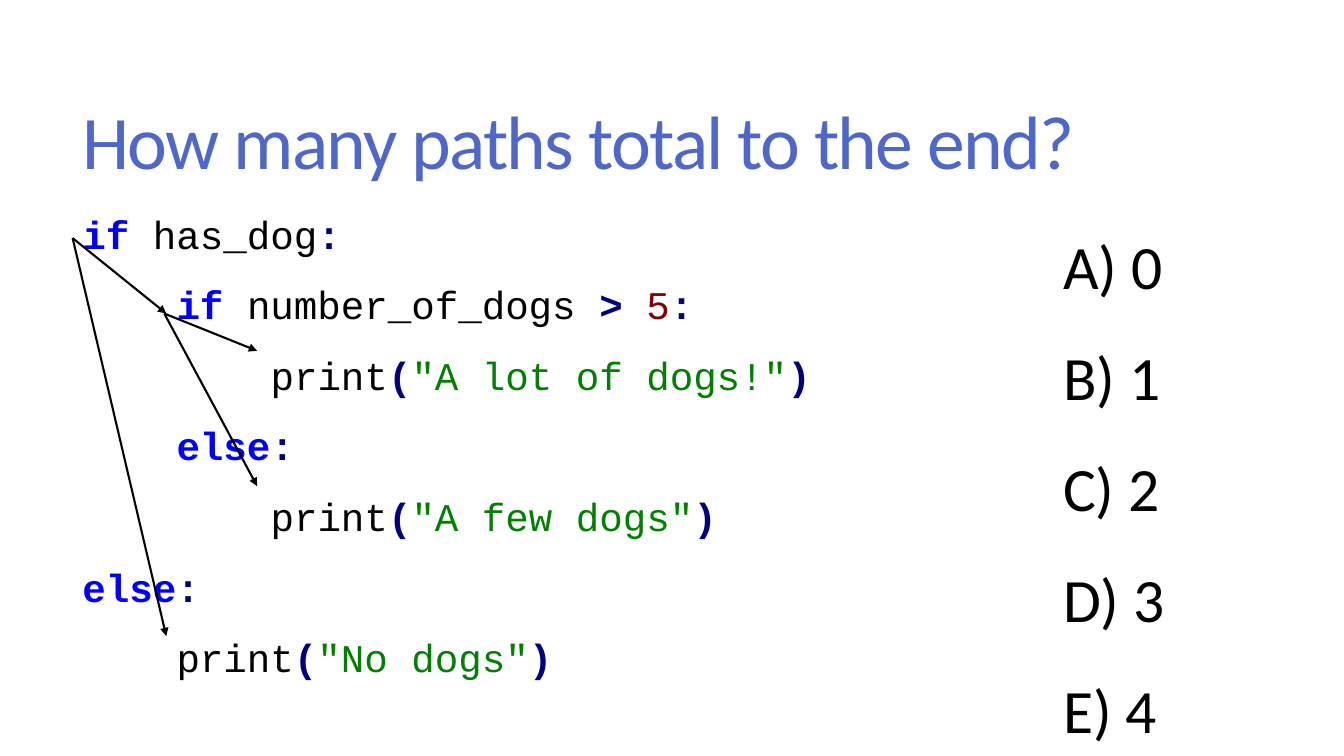
from lxml.etree import SubElement
from pptx import Presentation
from pptx.dml.color import RGBColor
from pptx.enum.shapes import MSO_CONNECTOR
from pptx.enum.text import MSO_ANCHOR, MSO_AUTO_SIZE
from pptx.oxml.ns import qn
from pptx.util import Cm, Pt

BLACK = RGBColor(0x00, 0x00, 0x00)
TITLE_BLUE = RGBColor(0x4E, 0x67, 0xC8)
KEYWORD_BLUE = RGBColor(0x00, 0x00, 0xFF)
OPERATOR_NAVY = RGBColor(0x00, 0x00, 0x80)
NUMBER_MAROON = RGBColor(0x80, 0x00, 0x00)
STRING_GREEN = RGBColor(0x00, 0x80, 0x00)

KEYWORD = (KEYWORD_BLUE, True)
PLAIN = (BLACK, False)
OPERATOR = (OPERATOR_NAVY, True)
NUMBER = (NUMBER_MAROON, False)
STRING = (STRING_GREEN, False)
CODE_INDENT = Cm(2.37)


def print_call(message):
    """Return the coloured tokens of a print call."""
    return [("print", PLAIN), ("(", OPERATOR), (f'"{message}"', STRING), (")", OPERATOR)]


ELSE = [("else", KEYWORD), (":", OPERATOR)]
CODE = [
    (0, [("if ", KEYWORD), ("has_dog", PLAIN), (":", OPERATOR)]),
    (1, [("if ", KEYWORD), ("number_of_dogs ", PLAIN), ("> ", OPERATOR),
         ("5", NUMBER), (":", OPERATOR)]),
    (2, print_call("A lot of dogs!")),
    (1, ELSE),
    (2, print_call("A few dogs")),
    (0, ELSE),
    (1, print_call("No dogs")),
]


def add_text_frame(slide, left, top, width, height, wrap=True):
    """Add a text box at the given box and return its text frame."""
    frame = slide.shapes.add_textbox(left, top, width, height).text_frame
    frame.word_wrap = wrap
    return frame


def add_paragraph(frame, index, font_name, size, spacing):
    """Return the paragraph at the next position with its font set."""
    paragraph = frame.paragraphs[0] if index == 0 else frame.add_paragraph()
    paragraph.line_spacing = spacing
    paragraph.font.name = font_name
    paragraph.font.size = Pt(size)
    return paragraph


def add_title(slide, left, top, width, height):
    """Place the question heading."""
    frame = add_text_frame(slide, left, top, width, height)
    frame.vertical_anchor = MSO_ANCHOR.MIDDLE
    heading = add_paragraph(frame, 0, "Calibri", 54, 0.85)
    heading.font.color.rgb = TITLE_BLUE
    question = heading.add_run()
    question.text = "How many paths total to the end?"
    question.font._element.set("spc", "-120")


def add_code(slide, left, top, width, height):
    """Place the program with its tokens coloured by role."""
    frame = add_text_frame(slide, left, top, width, height)
    frame.auto_size = MSO_AUTO_SIZE.SHAPE_TO_FIT_TEXT
    for index, (depth, tokens) in enumerate(CODE):
        line = add_paragraph(frame, index, "Courier New", 28, 1.5)
        line._p.get_or_add_pPr().set("marL", str(depth * CODE_INDENT))
        for word, (color, bold) in tokens:
            token = line.add_run()
            token.text = word
            token.font.color.rgb = color
            token.font.bold = bold


def add_branches(slide, left, top):
    """Draw the arrows from each condition to its outcomes."""
    outer = (0, 0)
    inner = (2.31, 1.9)
    branches = [
        (outer, (2.36, 10.03)),
        (outer, (2.36, 1.9)),
        (inner, (4.65, 6.25)),
        (inner, (4.65, 2.84)),
    ]
    for (start_x, start_y), (end_x, end_y) in branches:
        branch = slide.shapes.add_connector(
            MSO_CONNECTOR.STRAIGHT,
            left + Cm(start_x), top + Cm(start_y), left + Cm(end_x), top + Cm(end_y))
        branch.line.color.rgb = BLACK
        branch.line.width = Pt(1.5)
        SubElement(branch.line._get_or_add_ln(), qn("a:tailEnd"), type="triangle")
        SubElement(branch._element.spPr, qn("a:effectLst"))


def add_answers(slide, left, top, width, height):
    """Place the lettered answer choices."""
    frame = add_text_frame(slide, left, top, width, height, wrap=False)
    frame.auto_size = MSO_AUTO_SIZE.SHAPE_TO_FIT_TEXT
    for count in range(5):
        answer = add_paragraph(frame, count, "Calibri", 44, 1.5)
        answer.font.color.rgb = BLACK
        answer.add_run().text = f" {count}"
        properties = answer._p.get_or_add_pPr()
        properties.set("marL", str(Cm(0.95)))
        properties.set("indent", str(-Cm(0.95)))
        numbering = properties.makeelement(qn("a:buAutoNum"), {"type": "alphaUcParenR"})
        properties.find(qn("a:defRPr")).addprevious(numbering)


def main():
    """Build and save the slide."""
    presentation = Presentation()
    presentation.slide_width = Cm(33.87)
    presentation.slide_height = Cm(19.05)
    slide = presentation.slides.add_slide(presentation.slide_layouts[6])
    add_title(slide, Cm(1.83), Cm(1.4), Cm(29.92), Cm(4.6))
    add_code(slide, Cm(1.83), Cm(4.57), Cm(26.64), Cm(12.67))
    add_branches(slide, Cm(1.83), Cm(6))
    add_answers(slide, Cm(26.54), Cm(4.7), Cm(3.07), Cm(14.35))
    presentation.save("out.pptx")


main()
